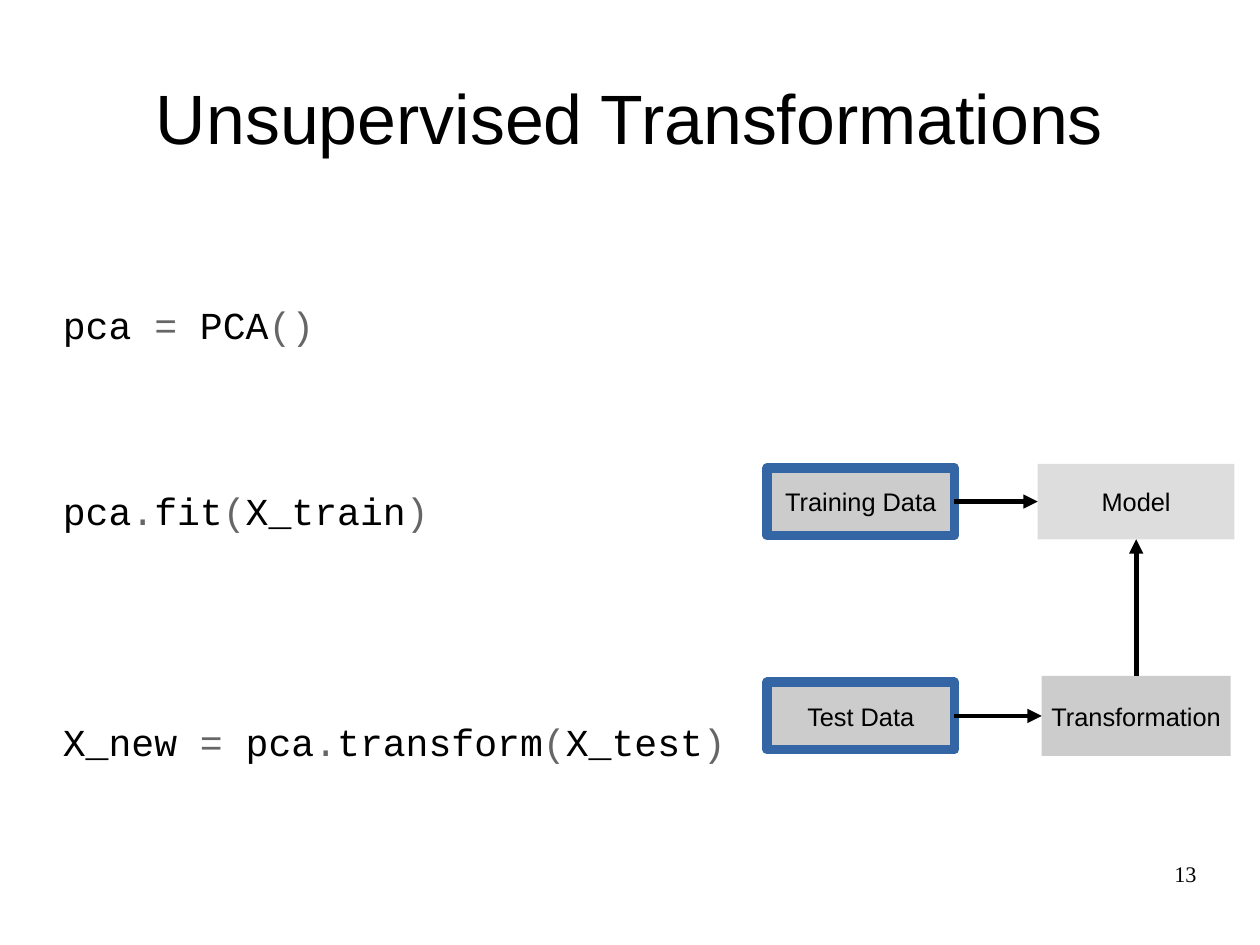
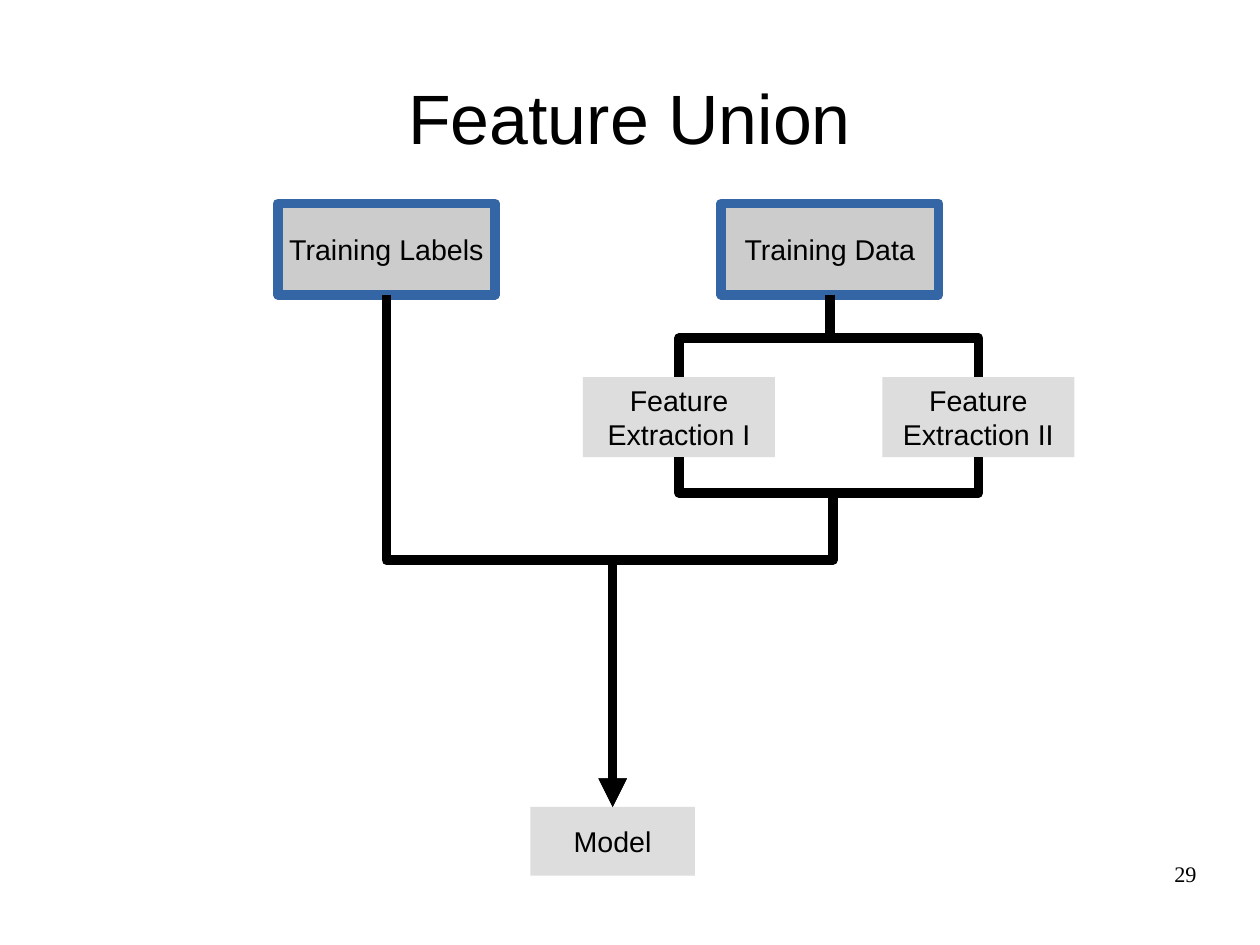
from itertools import groupby

from lxml import etree
from pptx import Presentation
from pptx.dml.color import RGBColor
from pptx.enum.shapes import MSO_CONNECTOR, MSO_SHAPE
from pptx.enum.text import MSO_ANCHOR, MSO_AUTO_SIZE, PP_ALIGN
from pptx.oxml.ns import qn
from pptx.util import Pt

BLACK = RGBColor(0x00, 0x00, 0x00)
OPERATOR_GRAY = RGBColor(0x66, 0x66, 0x66)
DATA_GRAY = RGBColor(0xCC, 0xCC, 0xCC)
MODEL_GRAY = RGBColor(0xDD, 0xDD, 0xDD)
BLUE = RGBColor(0x34, 0x65, 0xA4)

RECTANGLE = MSO_SHAPE.RECTANGLE
STRAIGHT = MSO_CONNECTOR.STRAIGHT
ELBOW = MSO_CONNECTOR.ELBOW
MIDDLE = MSO_ANCHOR.MIDDLE
TOP_ANCHOR = MSO_ANCHOR.TOP
NO_AUTO_SIZE = MSO_AUTO_SIZE.NONE
LEFT_ALIGN, CENTER, RIGHT_ALIGN = PP_ALIGN.LEFT, PP_ALIGN.CENTER, PP_ALIGN.RIGHT

TOP, LEFT, BOTTOM, RIGHT = range(4)
TITLE_ONLY = 5


class Deck:
    sans, mono, serif = "Arial", "Courier New", "Times New Roman"

    def __init__(self):
        self.presentation = Presentation()
        self.presentation.slide_width = Pt(793.7)
        self.presentation.slide_height = Pt(595.3)
        self.slide = None

    def add_slide(self, title, number):
        layout = self.presentation.slide_layouts[TITLE_ONLY]
        self.slide = self.presentation.slides.add_slide(layout)
        shape = self.slide.shapes.title
        shape.left, shape.top = Pt(39.6), Pt(23.8)
        shape.width, shape.height = Pt(714.4), Pt(99.4)
        self.set_text(shape, [title], self.sans, 44, CENTER, MIDDLE)
        self.text_box([number], 568.8, 542.2, 185, 41, self.serif, 14, RIGHT_ALIGN)

    def set_text(self, shape, lines, font, size, alignment, anchor):
        frame = shape.text_frame
        frame.auto_size = NO_AUTO_SIZE
        frame.word_wrap = True
        frame.vertical_anchor = anchor
        frame.margin_left = frame.margin_right = 0
        frame.margin_top = frame.margin_bottom = 0
        frame.text = "\n".join(lines)
        for paragraph in frame.paragraphs:
            paragraph.alignment = alignment
            paragraph.font.name = font
            paragraph.font.size = Pt(size)
            paragraph.font.color.rgb = BLACK
        return frame

    def text_box(self, lines, left, top, width, height, font, size, alignment):
        shape = self.slide.shapes.add_textbox(Pt(left), Pt(top), Pt(width), Pt(height))
        return self.set_text(shape, lines, font, size, alignment, TOP_ANCHOR)

    def code(self, statements, left, top, width, height):
        lines = [""] * len(statements)
        frame = self.text_box(lines, left, top, width, height, self.mono, 24, LEFT_ALIGN)
        for paragraph, (statement, gap) in zip(frame.paragraphs, statements):
            paragraph.space_before = Pt(gap)
            for is_operator, characters in groupby(statement, lambda c: c in "=.()"):
                run = paragraph.add_run()
                run.text = "".join(characters)
                run.font.color.rgb = OPERATOR_GRAY if is_operator else BLACK

    def box(self, lines, center_x, center_y, width, height, fill, size, outlined=False):
        shape = self.slide.shapes.add_shape(
            RECTANGLE, Pt(center_x - width / 2), Pt(center_y - height / 2),
            Pt(width), Pt(height))
        shape.shadow.inherit = False
        shape.fill.solid()
        shape.fill.fore_color.rgb = fill
        if outlined:
            self.stroke(shape, BLUE, 6)
        else:
            shape.line.fill.background()
        self.set_text(shape, lines, self.sans, size, CENTER, MIDDLE).word_wrap = False
        return shape

    def stroke(self, shape, color, weight, arrow=False):
        shape.line.color.rgb = color
        shape.line.width = Pt(weight)
        line = shape.element.spPr.find(qn("a:ln"))
        etree.SubElement(line, qn("a:round"))
        if arrow:
            etree.SubElement(line, qn("a:tailEnd"), type="triangle")

    def connector(self, kind, points, weight, arrow):
        (begin_x, begin_y), (end_x, end_y) = points
        connector = self.slide.shapes.add_connector(kind, begin_x, begin_y, end_x, end_y)
        self.stroke(connector, BLACK, weight, arrow)
        etree.SubElement(connector.element.spPr, qn("a:effectLst"))
        return connector

    def arrow(self, source, source_side, target, target_side):
        points = ((source.left, source.top), (target.left, target.top))
        connector = self.connector(STRAIGHT, points, 3, True)
        connector.begin_connect(source, source_side)
        connector.end_connect(target, target_side)

    def elbow(self, begin, end, turn=None, arrow=False):
        def locate(place, side):
            if isinstance(place, tuple):
                return Pt(place[0]), Pt(place[1])
            edge = place.top + (place.height if side == BOTTOM else 0)
            return place.left + place.width // 2, edge

        points = (begin_x, begin_y), (end_x, end_y) = locate(begin, BOTTOM), locate(end, TOP)
        connector = self.connector(ELBOW, points, 6, arrow)
        if not isinstance(begin, tuple):
            connector.begin_connect(begin, BOTTOM)
        if not isinstance(end, tuple):
            connector.end_connect(end, TOP)

        across, down = abs(end_x - begin_x), end_y - begin_y
        connector.left = (begin_x + end_x - down) // 2
        connector.top = (begin_y + end_y - across) // 2
        connector.width, connector.height = down, across
        goes_right = end_x > begin_x
        transform = connector.element.spPr.find(qn("a:xfrm"))
        transform.set("rot", str((270 if goes_right else 90) * 60000))
        transform.set("flipH", "1" if goes_right else "0")
        transform.set("flipV", "0")

        geometry = connector.element.spPr.find(qn("a:prstGeom"))
        if turn is None:
            geometry.set("prst", "bentConnector2")
        else:
            share = round((Pt(turn) - begin_y) / down * 100000)
            guides = geometry.find(qn("a:avLst"))
            etree.SubElement(guides, qn("a:gd"), name="adj1", fmla=f"val {share}")


def build_transformations(deck):
    deck.add_slide("Unsupervised Transformations", "13")
    deck.code([("pca = PCA()", 0), ("pca.fit(X_train)", 88),
               ("X_new = pca.transform(X_test)", 117)], 39.6, 190, 637, 293)
    training, test = [
        deck.box([label], 542.2, center_y, 118, 42.5, DATA_GRAY, 16, outlined=True)
        for label, center_y in (("Training Data", 316), ("Test Data", 451))]
    model = deck.box(["Model"], 715.7, 316, 124, 47.5, MODEL_GRAY, 16)
    transformation = deck.box(["Transformation"], 715.7, 451, 119, 50.4, DATA_GRAY, 16)
    deck.arrow(training, RIGHT, model, LEFT)
    deck.arrow(test, RIGHT, transformation, LEFT)
    deck.arrow(transformation, TOP, model, BOTTOM)


def build_feature_union(deck):
    deck.add_slide("Feature Union", "29")
    labels, data = [
        deck.box([label], center_x, 157, 136.8, 57.6, DATA_GRAY, 18, outlined=True)
        for label, center_x in (("Training Labels", 243.4), ("Training Data", 522.7))]
    extractions = [
        deck.box(["Feature", label], center_x, 262.8, 121, 50.4, MODEL_GRAY, 18)
        for label, center_x in (("Extraction I", 427.7), ("Extraction II", 616.3))]
    model = deck.box(["Model"], 385.9, 530, 103.7, 43.2, MODEL_GRAY, 18)
    junction = (524.8, 310.6)
    for extraction in extractions:
        deck.elbow(data, extraction, turn=213)
        deck.elbow(extraction, junction)
    for begin in (labels, junction):
        deck.elbow(begin, model, turn=352.8, arrow=True)


def main():
    deck = Deck()
    build_transformations(deck)
    build_feature_union(deck)
    deck.presentation.save("out.pptx")


if __name__ == "__main__":
    main()
